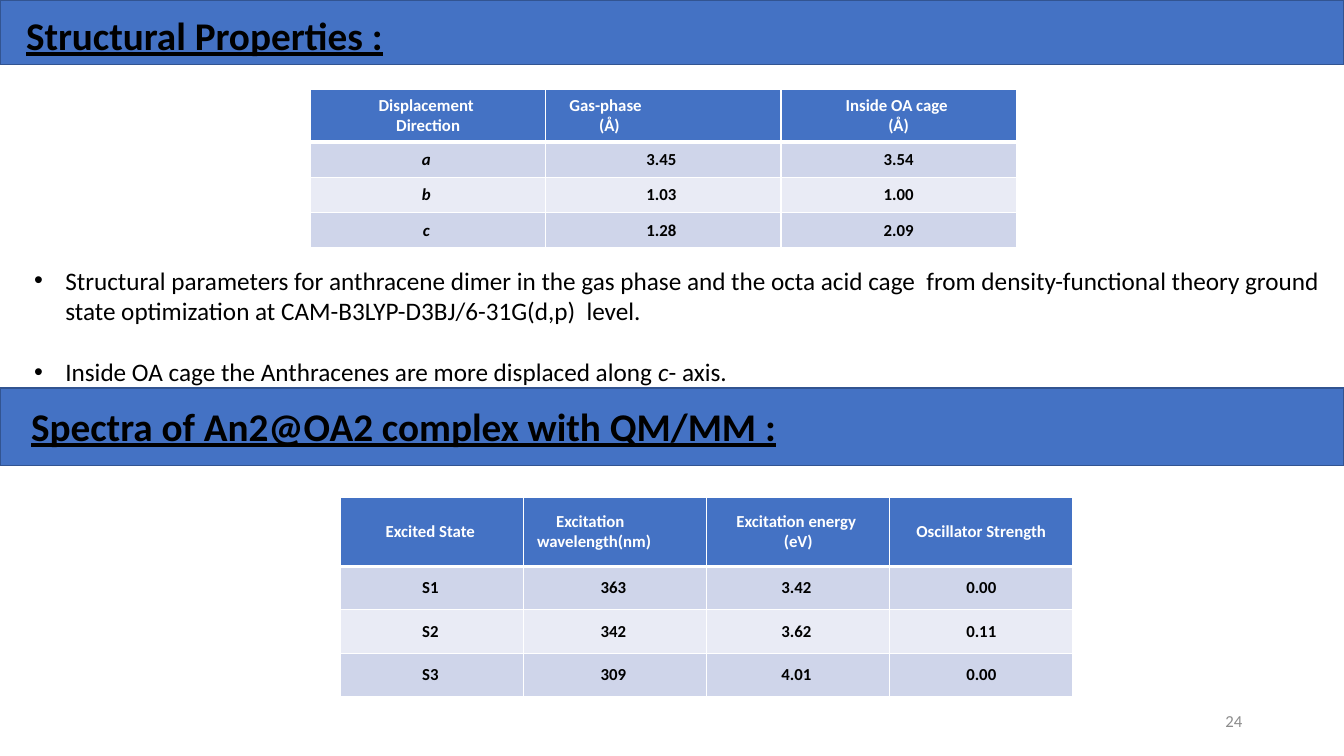
from dataclasses import dataclass
from lxml.etree import SubElement as Sub
from pptx import Presentation
from pptx.dml.color import RGBColor as Rgb
from pptx.enum.shapes import MSO_SHAPE as Shape
from pptx.enum.text import MSO_ANCHOR as Anchor, MSO_AUTO_SIZE as Auto, PP_ALIGN as Align
from pptx.oxml import parse_xml
from pptx.oxml.ns import nsdecls, qn
from pptx.util import Inches, Pt


@dataclass(frozen=True)
class Theme:
    font: str = "Calibri"
    blue: str = "4472C4"
    edge: str = "325491"
    odd: str = "CFD5EA"
    even: str = "E9EBF5"
    white: str = "FFFFFF"
    black: str = "000000"
    gray: str = "8C8C8C"
    title: int = 28
    body: int = 18
    small: int = 12


class Page:
    def __init__(self, deck, theme):
        self.theme = theme
        self.slide = deck.slides.add_slide(deck.slide_layouts[6])

    def style(self, para, size, color, bold=False, line=False):
        font = para.font
        font.name = self.theme.font
        font.size = Pt(size)
        font.color.rgb = Rgb.from_string(color)
        font.bold = bold
        font.underline = line

    def band(self, top, height):
        bar = self.slide.shapes.add_shape(
            Shape.RECTANGLE, 0, Inches(top), Inches(13.33), Inches(height))
        bar.shadow.inherit = False
        bar.fill.solid()
        bar.fill.fore_color.rgb = Rgb.from_string(self.theme.blue)
        bar.line.color.rgb = Rgb.from_string(self.theme.edge)
        bar.line.width = Pt(1)

    def box(self, area, grow=True):
        frame = self.slide.shapes.add_textbox(*map(Inches, area)).text_frame
        frame.word_wrap = True
        if grow:
            frame.auto_size = Auto.SHAPE_TO_FIT_TEXT
        return frame

    def title(self, area, text):
        para = self.box(area).paragraphs[0]
        para.text = text
        self.style(para, self.theme.title, self.theme.black, True, True)

    def bullets(self, area, items, gap):
        frame = self.box(area)
        for i, runs in enumerate(items):
            para = frame.add_paragraph() if i else frame.paragraphs[0]
            props = para._p.get_or_add_pPr()
            props.set("marL", str(Inches(0.31)))
            props.set("indent", str(Inches(-0.31)))
            if i:
                para.space_before = Pt(gap)
            Sub(props, qn("a:buFont"), typeface="Arial")
            Sub(props, qn("a:buChar"), char="•")
            self.style(para, self.theme.body, self.theme.black)
            for text, slant in runs:
                run = para.add_run()
                run.text = text
                if slant:
                    run.font.italic = True

    def number(self, area, text):
        frame = self.box(area, False)
        frame.vertical_anchor = Anchor.MIDDLE
        para = frame.paragraphs[0]
        para.text = text
        para.alignment = Align.RIGHT
        self.style(para, self.theme.small, self.theme.gray)

    def border(self, cell, row):
        props = cell._tc.get_or_add_tcPr()
        thick = {0: "B", 1: "T"}.get(row)
        for i, side in enumerate("LRTB"):
            width = Pt(3 if side == thick else 1)
            props.insert(i, parse_xml(
                f'<a:ln{side} {nsdecls("a")} w="{width}"><a:solidFill>'
                f'<a:srgbClr val="{self.theme.white}"/></a:solidFill></a:ln{side}>'))

    def cell(self, cell, text, row, slant):
        theme = self.theme
        cell.text = text
        cell.vertical_anchor = Anchor.MIDDLE
        cell.margin_left = cell.margin_right = Inches(0.07)
        cell.margin_top = cell.margin_bottom = Inches(0.07 if row else 0.05)
        cell.fill.solid()
        shade = (theme.odd if row % 2 else theme.even) if row else theme.blue
        cell.fill.fore_color.rgb = Rgb.from_string(shade)
        for para in cell.text_frame.paragraphs:
            para.alignment = Align.CENTER
            self.style(para, theme.small, theme.black if row else theme.white, True)
            para.font.italic = slant
        self.border(cell, row)

    def table(self, area, rows, highs, inset, slant=False):
        grid = self.slide.shapes.add_table(
            len(rows), len(rows[0]), *map(Inches, area)).table
        for col in grid.columns:
            col.width = Inches(area[2] / len(rows[0]))
        for r, row in enumerate(rows):
            grid.rows[r].height = Inches(highs[r])
            for c, text in enumerate(row):
                self.cell(grid.cell(r, c), text, r, slant and r > 0 and c == 0)
        grid.cell(0, 1).margin_right = Inches(inset)


def main():
    deck = Presentation()
    deck.slide_width, deck.slide_height = Inches(13.33), Inches(7.5)
    page = Page(deck, Theme())
    page.band(3.85, 0.77)
    page.band(0, 0.64)
    page.title((0.16, 0.06, 3.87, 0.57), "Structural Properties :")
    page.table((3.08, 0.89, 7, 1.55), [
        ("Displacement \nDirection", "Gas-phase  \n(Å)", "Inside OA cage \n(Å)"),
        ("a ", "3.45 ", "3.54"),
        ("b ", "1.03 ", "1.00"),
        ("c ", "1.28 ", "2.09"),
    ], (0.52, 0.35, 0.35, 0.35), 1.14, True)
    page.bullets((0.24, 2.58, 13.27, 1.31), [
        [("Structural parameters for anthracene dimer in the gas phase and the octa "
          "acid cage  from density-functional theory ground state optimization at "
          "CAM-B3LYP-D3BJ/6-31G(d,p)  level.", False)],
        [("Inside OA cage the Anthracenes are more displaced along ", False),
         ("c", True), ("- axis.", False)],
    ], 22)
    page.table((3.38, 4.93, 7.26, 1.97), [
        ("Excited State ", "Excitation  \nwavelength(nm)",
         "Excitation energy \n(eV)", "Oscillator Strength"),
        ("S1 ", "363 ", "3.42 ", "0.00"),
        ("S2 ", "342 ", "3.62 ", "0.11"),
        ("S3 ", "309 ", "4.01 ", "0.00"),
    ], (0.69, 0.43, 0.43, 0.43), 0.49)
    page.title((0.21, 3.94, 7.88, 0.57), "Spectra of An2@OA2 complex with QM/MM :")
    page.number((9.42, 6.95, 3, 0.4), "24")
    deck.save("out.pptx")


if __name__ == "__main__":
    main()
